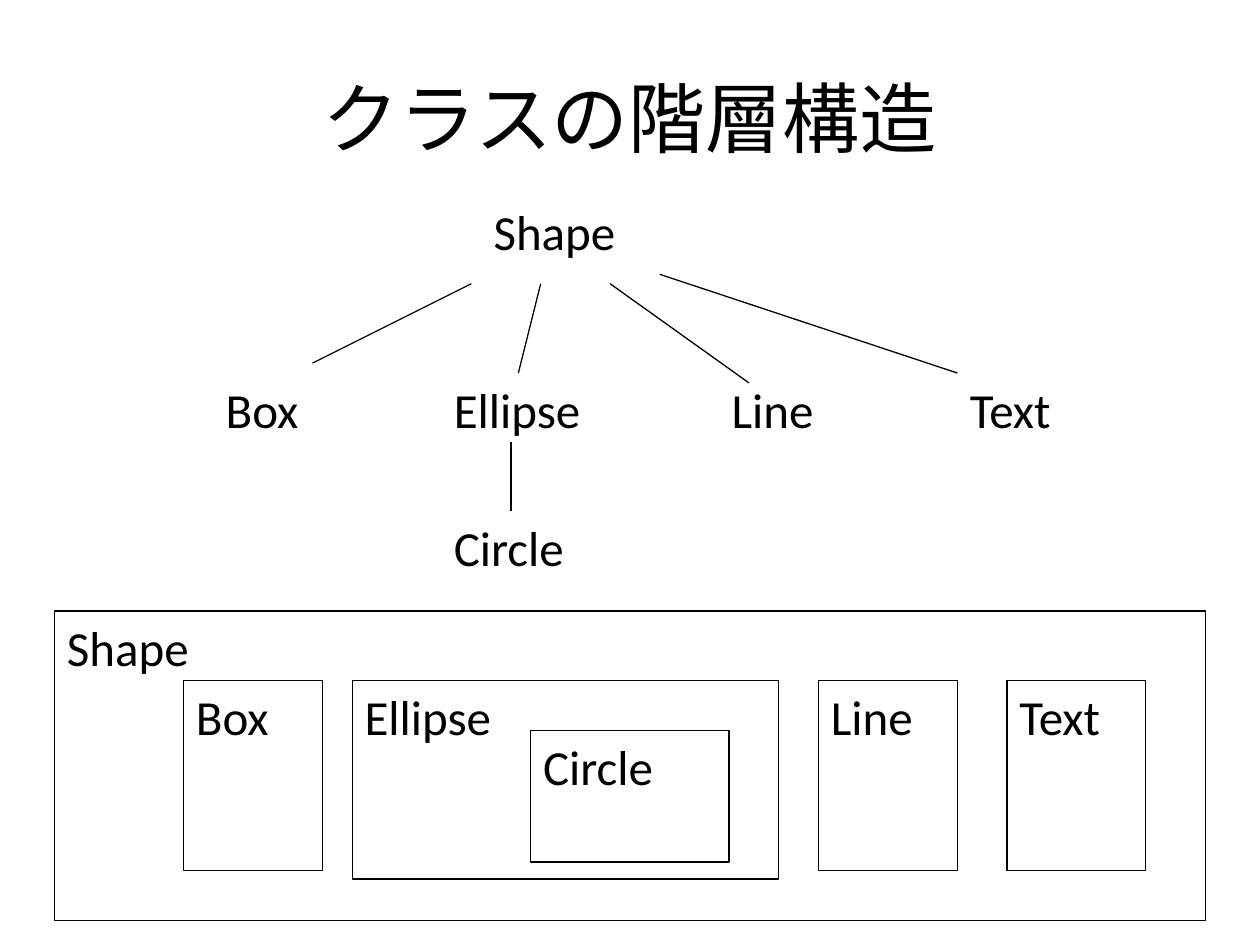
from lxml.etree import SubElement
from pptx import Presentation
from pptx.dml.color import RGBColor
from pptx.enum.shapes import MSO_CONNECTOR, MSO_SHAPE
from pptx.enum.text import MSO_ANCHOR, MSO_AUTO_SIZE, PP_ALIGN
from pptx.oxml.ns import qn
from pptx.util import Cm, Pt

TITLE = "クラスの階層構造"
FONT = "Calibri"
COLORS = {"ink": "000000", "paper": "FFFFFF"}

LABEL_HEIGHT = 1.45
ROOT_TOP, CHILD_TOP, GRANDCHILD_TOP = 3.94, 7.52, 10.31
TREE = [
    ("Shape", 9.7, ROOT_TOP, 3.0),
    ("Box", 4.3, CHILD_TOP, 2.0),
    ("Ellipse", 8.9, CHILD_TOP, 3.1),
    ("Line", 14.5, CHILD_TOP, 2.19),
    ("Text", 19.3, CHILD_TOP, 2.16),
    ("Circle", 8.9, GRANDCHILD_TOP, 2.74),
]
BRANCHES = [
    ((9.5, 5.72), (6.3, 7.32), None),
    ((10.9, 5.72), (10.45, 7.52), "Ellipse"),
    ((12.3, 5.72), (15.1, 7.72), None),
    ((13.3, 5.53), (19.3, 7.52), None),
    ((10.3, 8.92), (10.3, 10.31), None),
]

SUBCLASS_TOP, SUBCLASS_WIDTH, SUBCLASS_HEIGHT = 13.72, 2.8, 3.83
NESTED = [
    ("Shape", 1.1, 12.32, 23.2, 6.24),
    ("Box", 3.7, SUBCLASS_TOP, SUBCLASS_WIDTH, SUBCLASS_HEIGHT),
    ("Ellipse", 7.1, SUBCLASS_TOP, 8.6, 4.0),
    ("Line", 16.5, SUBCLASS_TOP, SUBCLASS_WIDTH, SUBCLASS_HEIGHT),
    ("Text", 20.3, SUBCLASS_TOP, SUBCLASS_WIDTH, SUBCLASS_HEIGHT),
    ("Circle", 10.7, 14.73, 4.0, 2.65),
]


def color(name):
    return RGBColor.from_string(COLORS[name])


def write(frame, text, size, align=PP_ALIGN.LEFT, anchor=MSO_ANCHOR.TOP):
    frame.text = text
    frame.vertical_anchor = anchor
    paragraph = frame.paragraphs[0]
    paragraph.alignment = align
    font = paragraph.runs[0].font
    font.name, font.size = FONT, Pt(size)
    font.color.rgb = color("ink")


def outline(line):
    line.color.rgb = color("ink")
    line.width = Pt(0.75)


def add_label(slide, name, left, top, width):
    label = slide.shapes.add_textbox(Cm(left), Cm(top), Cm(width), Cm(LABEL_HEIGHT))
    label.text_frame.word_wrap = False
    label.text_frame.auto_size = MSO_AUTO_SIZE.SHAPE_TO_FIT_TEXT
    write(label.text_frame, name, 28)
    return label


def add_branch(slide, start, end, child):
    branch = slide.shapes.add_connector(
        MSO_CONNECTOR.STRAIGHT, *[Cm(value) for value in start + end])
    outline(branch.line)
    SubElement(branch._element.spPr, qn("a:effectLst"))
    if child is not None:
        branch.end_connect(child, 0)


def add_class_box(slide, name, *bounds):
    class_box = slide.shapes.add_shape(
        MSO_SHAPE.RECTANGLE, *[Cm(value) for value in bounds])
    class_box.shadow.inherit = False
    class_box.fill.background()
    outline(class_box.line)
    class_box.text_frame.word_wrap = True
    write(class_box.text_frame, name, 28)


def main():
    deck = Presentation()
    deck.slide_width, deck.slide_height = Cm(25.4), Cm(19.05)
    slide = deck.slides.add_slide(deck.slide_layouts[5])
    slide.background.fill.solid()
    slide.background.fill.fore_color.rgb = color("paper")

    title = slide.shapes.title
    title.left, title.top = Cm(1.27), Cm(0.76)
    title.width, title.height = Cm(22.86), Cm(3.18)
    write(title.text_frame, TITLE, 44, PP_ALIGN.CENTER, MSO_ANCHOR.MIDDLE)

    labels = {name: add_label(slide, name, *place) for name, *place in TREE}
    for start, end, child in BRANCHES:
        add_branch(slide, start, end, labels.get(child))
    for name, *bounds in NESTED:
        add_class_box(slide, name, *bounds)

    deck.save("out.pptx")


if __name__ == "__main__":
    main()
